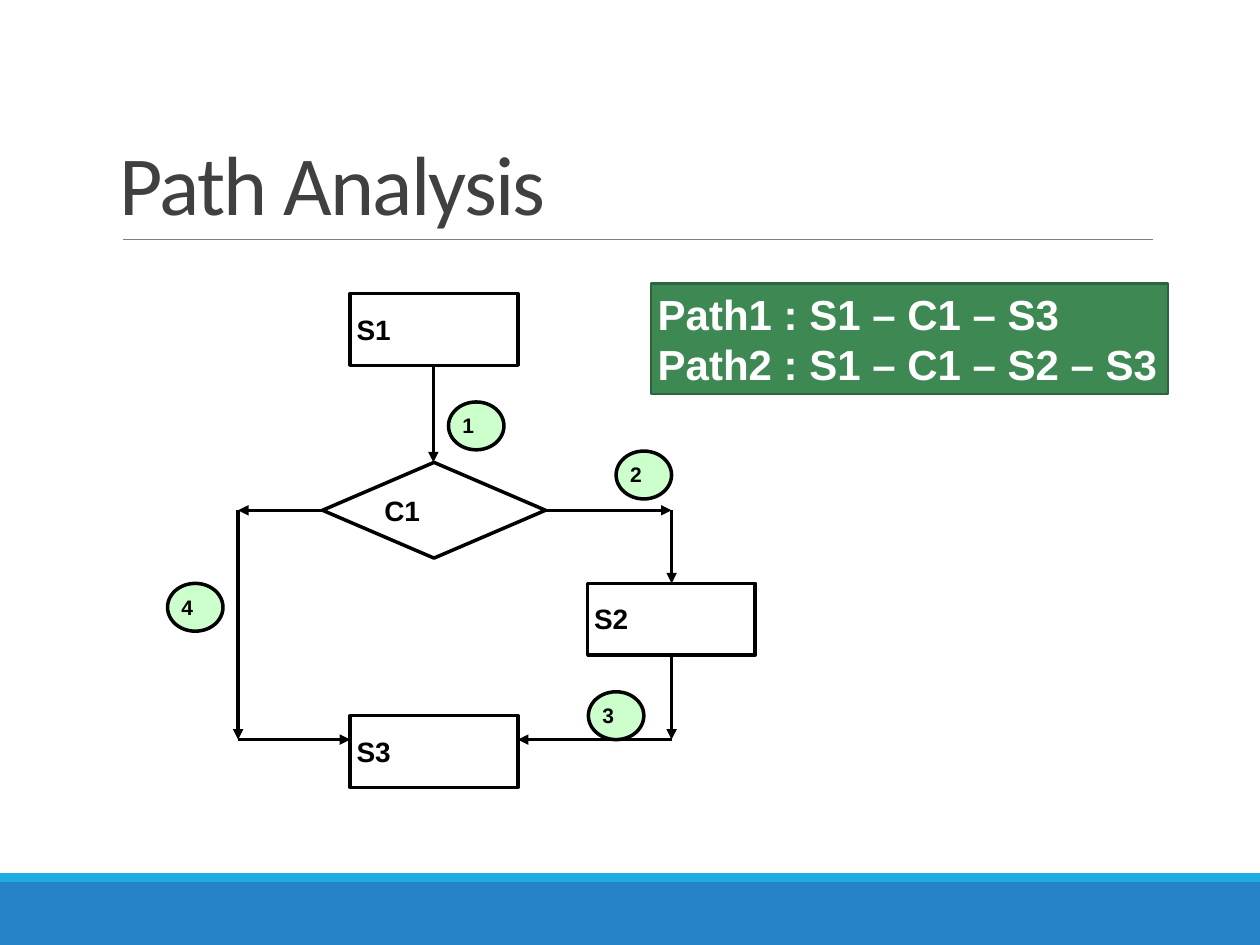
from lxml import etree
from pptx import Presentation
from pptx.dml.color import RGBColor
from pptx.enum.shapes import MSO_CONNECTOR, MSO_SHAPE
from pptx.enum.text import MSO_ANCHOR, MSO_AUTO_SIZE, PP_ALIGN
from pptx.oxml.ns import qn
from pptx.util import Inches, Pt

RECTANGLE = MSO_SHAPE.RECTANGLE
DIAMOND = MSO_SHAPE.DIAMOND
OVAL = MSO_SHAPE.OVAL
STRAIGHT = MSO_CONNECTOR.STRAIGHT
MIDDLE = MSO_ANCHOR.MIDDLE
BOTTOM = MSO_ANCHOR.BOTTOM
LEFT = PP_ALIGN.LEFT
FIT_SHAPE = MSO_AUTO_SIZE.SHAPE_TO_FIT_TEXT
NO_FIT = MSO_AUTO_SIZE.NONE

COLORS = {
    "black": "000000", "white": "FFFFFF", "title": "404040", "rule": "808080",
    "band": "2683C6", "stripe": "1CADE4", "marker": "CCFFCC",
    "paths": "3E8853", "paths_edge": "2D633D",
}

# Flowchart grid, in inches
BOX_WIDTH, BOX_HEIGHT = 1.33, 0.57
LEFT_X, MAIN_X, RIGHT_X = 1.89, 3.44, 5.33
BRANCH_Y, MERGE_Y = 4.05, 5.87
BOX_LEFT, BOX_RIGHT = 2.78, 4.11
S1_TOP, S2_TOP, S3_TOP = 2.33, 4.63, 5.68
DIAMOND_BOX = (2.56, 3.67, 1.77, 0.76)


def color(name):
    return RGBColor.from_string(COLORS[name])


def add_filled(slide, kind, box, fill, line=None, width=2):
    shape = slide.shapes.add_shape(kind, *map(Inches, box))
    shape.shadow.inherit = False
    shape.fill.solid()
    shape.fill.fore_color.rgb = color(fill)
    if line:
        shape.line.color.rgb = color(line)
        shape.line.width = Pt(width)
    else:
        shape.line.fill.background()
    return shape


def write_text(shape, lines, size, font_color="black", font="Arial", bold=True,
               anchor=MIDDLE, wrap=False, fit=FIT_SHAPE):
    frame = shape.text_frame
    frame.margin_left = frame.margin_right = Inches(0.05)
    frame.margin_top = frame.margin_bottom = Inches(0.05)
    frame.word_wrap = wrap
    frame.auto_size = fit
    frame.vertical_anchor = anchor
    for index, line in enumerate(lines):
        paragraph = frame.paragraphs[0] if index == 0 else frame.add_paragraph()
        paragraph.alignment = LEFT
        run = paragraph.add_run()
        run.text = line
        run.font.name = font
        run.font.size = Pt(size)
        run.font.bold = bold
        run.font.color.rgb = color(font_color)


def add_label(slide, text, box, size):
    write_text(slide.shapes.add_textbox(*map(Inches, box)), [text], size)


def add_step(slide, text, left, top):
    add_filled(slide, RECTANGLE, (left, top, BOX_WIDTH, BOX_HEIGHT), "white", "black")
    add_label(slide, text, (left, top + 0.1, 0.39, 0.36), 16)


def add_marker(slide, text, left, top):
    add_filled(slide, OVAL, (left, top, 0.44, 0.38), "marker", "black")
    add_label(slide, text, (left + 0.06, top + 0.04, 0.21, 0.29), 12)


def add_line(slide, start, end, line="black", width=2, arrow=True):
    connector = slide.shapes.add_connector(STRAIGHT, *map(Inches, start + end))
    connector.line.color.rgb = color(line)
    connector.line.width = Pt(width)
    if arrow:
        outline = connector.line._get_or_add_ln()
        etree.SubElement(outline, qn("a:tailEnd"), type="triangle")
    etree.SubElement(connector._element.spPr, qn("a:effectLst"))


def add_title(slide, text):
    title = slide.shapes.title
    title.left, title.top = Inches(0.9), Inches(0.31)
    title.width, title.height = Inches(8.25), Inches(1.59)
    write_text(title, [text], 48, "title", "Calibri", False, BOTTOM, True, NO_FIT)
    paragraph = title.text_frame.paragraphs[0]
    paragraph.line_spacing = 0.85
    paragraph.runs[0].font._element.set("spc", "-100")


def add_flowchart(slide):
    # Statements and condition
    s2_left = RIGHT_X - BOX_WIDTH / 2
    for text, left, top in (("S1", BOX_LEFT, S1_TOP), ("S3", BOX_LEFT, S3_TOP),
                            ("S2", s2_left, S2_TOP)):
        add_step(slide, text, left, top)
    add_filled(slide, DIAMOND, DIAMOND_BOX, "white", "black")
    add_label(slide, "C1", (3, 3.87, 0.4, 0.36), 16)

    # Flow arrows
    diamond_left, diamond_top, diamond_width, _ = DIAMOND_BOX
    diamond_right = diamond_left + diamond_width
    for start, end in (
        ((MAIN_X, S1_TOP + BOX_HEIGHT), (MAIN_X, diamond_top)),
        ((diamond_left, BRANCH_Y), (LEFT_X, BRANCH_Y)),
        ((diamond_right, BRANCH_Y), (RIGHT_X, BRANCH_Y)),
        ((LEFT_X, BRANCH_Y), (LEFT_X, MERGE_Y)),
        ((LEFT_X, MERGE_Y), (BOX_LEFT, MERGE_Y)),
        ((RIGHT_X, S2_TOP + BOX_HEIGHT), (RIGHT_X, MERGE_Y)),
        ((RIGHT_X, BRANCH_Y), (RIGHT_X, S2_TOP)),
        ((RIGHT_X, MERGE_Y), (BOX_RIGHT, MERGE_Y)),
    ):
        add_line(slide, start, end)

    # Numbered edges
    for text, left, top in (("1", 3.56, 3.19), ("4", 1.33, 4.63),
                            ("2", 4.89, 3.58), ("3", 4.67, 5.49)):
        add_marker(slide, text, left, top)


def main():
    presentation = Presentation()
    presentation.slide_width, presentation.slide_height = Inches(10), Inches(7.5)
    slide = presentation.slides.add_slide(presentation.slide_layouts[5])

    # Footer bands, title and rule
    add_filled(slide, RECTANGLE, (0, 7, 10, 0.5), "band")
    add_filled(slide, RECTANGLE, (0, 6.93, 10, 0.07), "stripe")
    add_line(slide, (0.98, 1.9), (9.15, 1.9), "rule", 0.5, arrow=False)
    add_title(slide, "Path Analysis")

    add_flowchart(slide)

    # List of paths
    paths = add_filled(slide, RECTANGLE, (5.17, 2.25, 4.1, 0.88),
                       "paths", "paths_edge", 1.25)
    write_text(paths, ["Path1 : S1 – C1 – S3", "Path2 : S1 – C1 – S2 – S3"],
               24, "white")

    presentation.save("out.pptx")


if __name__ == "__main__":
    main()
